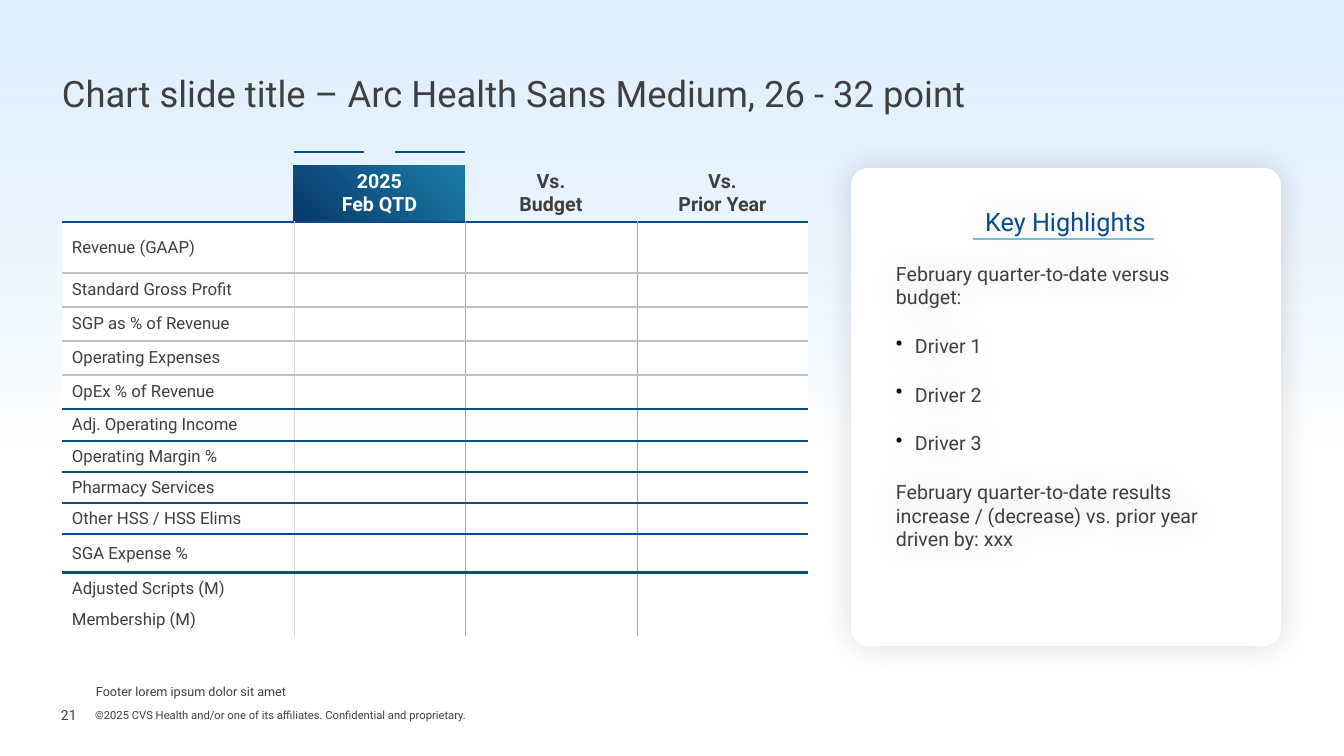
from lxml import etree
from pptx import Presentation
from pptx import util as u
from pptx.dml.color import RGBColor
from pptx.enum import shapes, text
from pptx.oxml import ns

PX = 914400 / 100.8
FONT = "Roboto"
WHITE = RGBColor(0xFF, 0xFF, 0xFF)
BLACK = RGBColor(0, 0, 0)
INK = RGBColor(0x3F, 0x3F, 0x3F)
NAVY = RGBColor(0x0A, 0x4B, 0x8C)
SKY = RGBColor(0x71, 0xC0, 0xDC)
PALE = RGBColor(0xCC, 0xE6, 0xFF)
DEEP = RGBColor(0x07, 0x38, 0x6A)
TEAL = RGBColor(0x1C, 0x7D, 0xA9)
SILVER = RGBColor(0xC0, 0xC0, 0xC0)
LIGHT_GREY = RGBColor(0xD9, 0xD9, 0xD9)
MID_GREY = RGBColor(0xA6, 0xA6, 0xA6)
PLAIN_TABLE = "{2D5ABB26-0587-4C30-8999-92F81FD0307C}"

HEADERS = [[], ["2025", "Feb QTD"], ["Vs.", "Budget"], ["Vs.", "Prior Year"]]
LABELS = ["Revenue (GAAP)", "Standard Gross Profit", "SGP as % of Revenue",
          "Operating Expenses", "OpEx % of Revenue", "Adj. Operating Income",
          "Operating Margin %", "Pharmacy Services", "Other HSS / HSS Elims",
          "SGA Expense %", "Adjusted Scripts (M)", "Membership (M)"]
COLUMN_WIDTHS = [232, 171, 172, 171]
ROW_HEIGHTS = [56, 51, 34, 34, 34, 34, 32, 31, 31, 31, 39, 31, 32]
RULES_BELOW = {0: (NAVY, 2.25), 1: (SILVER, 1), 3: (SILVER, 1),
               5: (NAVY, 2.25), 7: (NAVY, 2.25), 9: (NAVY, 2.25)}
RULES_RIGHT = {0: (LIGHT_GREY, 0.5), 1: (MID_GREY, 0.5), 2: (MID_GREY, 0.5)}
CLEAR_ROWS = {0, 6, 7, 8, 9, 10}


def px(n):
    return u.Emu(round(n * PX))


def sub(parent, tag, **attrs):
    return etree.SubElement(parent, ns.qn(tag), {k: str(v) for k, v in attrs.items()})


def add_gradient(props, stops):
    fill = sub(props, "a:gradFill", rotWithShape=1)
    stop_list = sub(fill, "a:gsLst")
    for pos, color, alpha in stops:
        gs = sub(stop_list, "a:gs", pos=pos * 1000)
        clr = sub(gs, "a:srgbClr", val=color)
        if alpha < 100:
            sub(clr, "a:alpha", val=alpha * 1000)
    return fill


def add_soft_shadow(s):
    effects = sub(s._element.spPr, "a:effectLst")
    shadow = sub(effects, "a:outerShdw", blurRad=u.Pt(22.8), dist=0, dir=0,
                 algn="ctr", rotWithShape=0)
    sub(sub(shadow, "a:srgbClr", val=BLACK), "a:alpha", val=14000)


def add_run(p, words, size, color=INK, bold=False):
    r = p.add_run()
    r.text = words
    r.font.name, r.font.size, r.font.bold = FONT, u.Pt(size), bold
    r.font.color.rgb = color


def add_text(slide, box, inset=(0, 0), anchor=text.MSO_ANCHOR.TOP):
    s = slide.shapes.add_textbox(*map(px, box))
    tf = s.text_frame
    tf.word_wrap = True
    tf.vertical_anchor = anchor
    tf.margin_left = tf.margin_right = px(inset[0])
    tf.margin_top = tf.margin_bottom = px(inset[1])
    return s, tf.paragraphs[0]


def add_rule(slide, x, y, length, color, width):
    s = slide.shapes.add_connector(shapes.MSO_CONNECTOR.STRAIGHT,
                                   px(x), px(y), px(x + length), px(y))
    s.line.color.rgb = color
    s.line.width = u.Pt(width)
    sub(s._element.spPr, "a:effectLst")


def add_backdrop(slide, box):
    s = slide.shapes.add_shape(shapes.MSO_SHAPE.RECTANGLE, *map(px, box))
    fill = add_gradient(s._element.spPr, [(0, PALE, 60), (100, WHITE, 100)])
    sub(fill, "a:lin", ang=5400000, scaled=0)
    s.line.fill.background()
    s.shadow.inherit = False


def add_title(slide, box):
    s, p = add_text(slide, box)
    p.line_spacing = 0.9
    add_run(p, "Chart slide title – Arc Health Sans Medium, 26 - 32 point", 26)


def add_borders(cell, row, col):
    right = RULES_RIGHT.get(col) if row else None
    left = RULES_RIGHT.get(col - 1) if row else None
    edges = {"a:lnL": left, "a:lnR": right,
             "a:lnT": RULES_BELOW.get(row - 1), "a:lnB": RULES_BELOW.get(row)}
    props = cell._tc.get_or_add_tcPr()
    for tag, rule in edges.items():
        if rule:
            color, width = rule
            ln = sub(props, tag, w=u.Pt(width))
            sub(sub(ln, "a:solidFill"), "a:srgbClr", val=color)


def fill_cell(cell, row, col):
    if (row, col) == (0, 1):
        fill = add_gradient(cell._tc.get_or_add_tcPr(),
                            [(0, DEEP, 100), (100, TEAL, 100)])
        focus = sub(fill, "a:path", path="circle")
        sub(focus, "a:fillToRect", t=100000, r=100000)
    elif row in CLEAR_ROWS:
        cell.fill.background()
    else:
        cell.fill.solid()
        cell.fill.fore_color.rgb = WHITE


def write_cell(cell, row, col):
    cell.vertical_anchor = text.MSO_ANCHOR.MIDDLE
    cell.margin_left = px(5 if row == 0 else 10)
    cell.margin_right = cell.margin_top = cell.margin_bottom = px(5)
    tf = cell.text_frame
    if row == 0:
        lines = HEADERS[col]
    else:
        lines = [LABELS[row - 1]] if col == 0 else []
    for i, line in enumerate(lines):
        p = tf.add_paragraph() if i else tf.paragraphs[0]
        if row == 0:
            p.alignment = text.PP_ALIGN.CENTER
            add_run(p, line, 14, WHITE if col == 1 else INK, True)
        else:
            add_run(p, line, 12)
    if not lines:
        sub(tf.paragraphs[0]._p, "a:endParaRPr", sz=1200)


def add_results_table(slide, box):
    x, y, w, h = box
    frame = slide.shapes.add_table(len(ROW_HEIGHTS), len(COLUMN_WIDTHS), *map(px, box))
    table = frame.table
    table.first_row = table.horz_banding = False
    table._tbl.tblPr.find(ns.qn("a:tableStyleId")).text = PLAIN_TABLE
    for column, width in zip(table.columns, COLUMN_WIDTHS):
        column.width = px(width)
    for row, height in enumerate(ROW_HEIGHTS):
        table.rows[row].height = px(height)
        for col in range(len(COLUMN_WIDTHS)):
            cell = table.cell(row, col)
            write_cell(cell, row, col)
            add_borders(cell, row, col)
            fill_cell(cell, row, col)
    for offset in (0, 101):
        add_rule(slide, x + COLUMN_WIDTHS[0] + offset, y - 13, 70, NAVY, 2)


def add_highlights(slide, box):
    x, y, w, h = box
    card = slide.shapes.add_shape(shapes.MSO_SHAPE.ROUNDED_RECTANGLE, *map(px, box))
    card.adjustments[0] = 0.04
    card.fill.solid()
    card.fill.fore_color.rgb = WHITE
    card.line.fill.background()
    add_soft_shadow(card)

    s, p = add_text(slide, (x + 35, y + 28, w - 71, h - 40), (10, 10))
    s.fill.background()
    add_soft_shadow(s)
    p.alignment = text.PP_ALIGN.CENTER
    add_run(p, "Key Highlights", 18, NAVY)
    for words, bulleted in [
            ("February quarter-to-date versus budget:", False),
            ("Driver 1", True), ("Driver 2", True), ("Driver 3", True),
            ("February quarter-to-date results increase / (decrease) "
             "vs. prior year driven by: xxx", False)]:
        p = s.text_frame.add_paragraph()
        if bulleted:
            props = p._p.get_or_add_pPr()
            props.set("marL", str(px(19)))
            props.set("indent", str(-px(19)))
            sub(sub(props, "a:buClr"), "a:srgbClr", val=BLACK)
            sub(props, "a:buChar", char="•")
        p.space_before = u.Pt(18)
        add_run(p, words, 14)
    add_rule(slide, x + 122, y + 71, 181, SKY, 1.5)


def add_footer(slide, box):
    x, y, w, h = box
    s, p = add_text(slide, (x, y + 18, 39, 25), (0, 5), text.MSO_ANCHOR.MIDDLE)
    add_run(p, "21", 10)
    s, p = add_text(slide, (x + 34, y + 25, 887, 13), anchor=text.MSO_ANCHOR.BOTTOM)
    add_run(p, "©2025 CVS Health and/or one of its affiliates. "
               "Confidential and proprietary.", 8)
    s, p = add_text(slide, (x + 35, y, w - 35, 13))
    add_run(p, "Footer lorem ipsum dolor sit amet", 9)


def main():
    prs = Presentation()
    prs.slide_width, prs.slide_height = px(1344), px(756)
    slide = prs.slides.add_slide(prs.slide_layouts[6])
    add_backdrop(slide, (0, 0, 1344, 444))
    add_title(slide, (62, 76, 1262, 79))
    add_results_table(slide, (62, 165, sum(COLUMN_WIDTHS), sum(ROW_HEIGHTS)))
    add_highlights(slide, (851, 168, 430, 478))
    add_footer(slide, (61, 684, 981, 43))
    prs.save("out.pptx")


if __name__ == "__main__":
    main()
